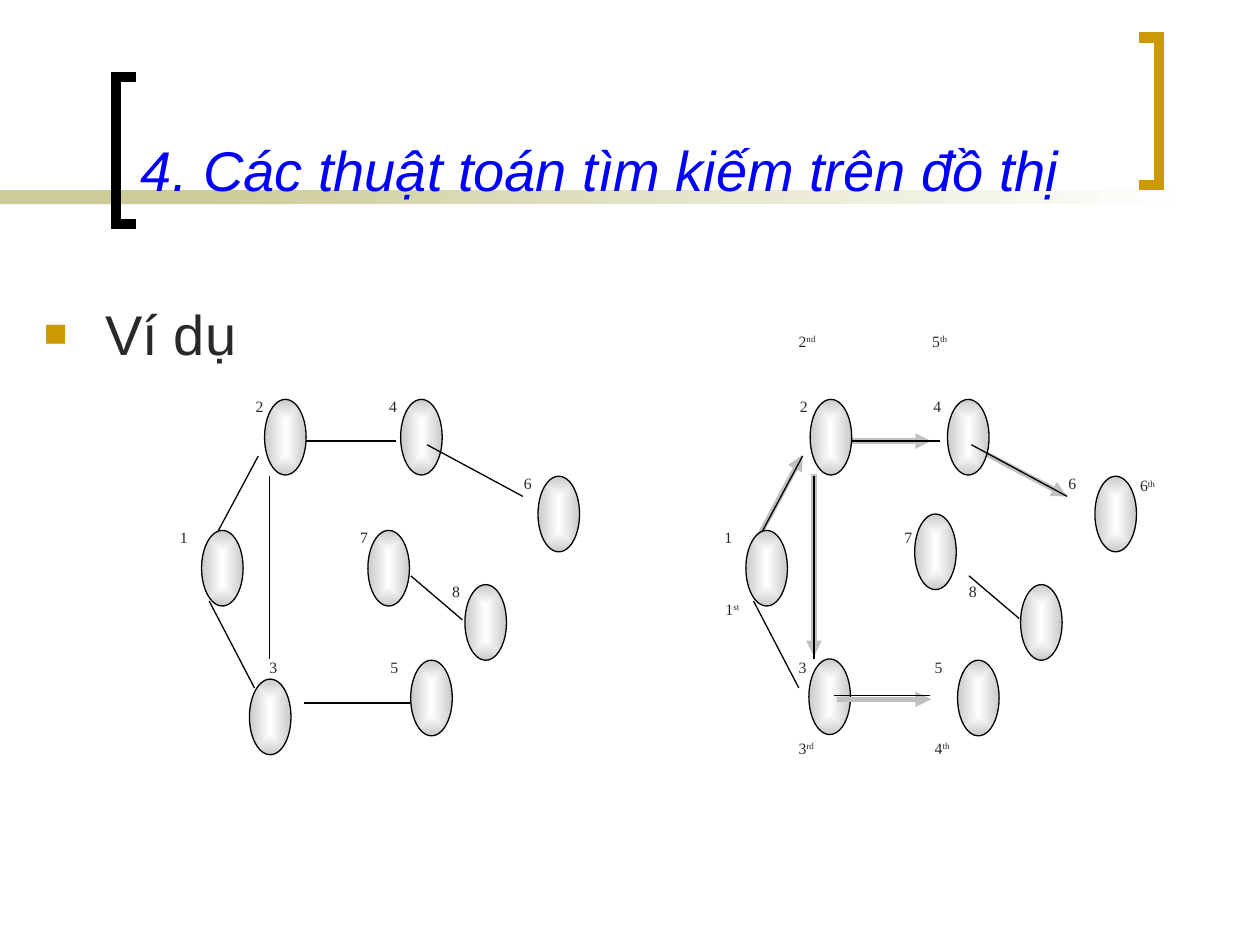
from lxml import etree
from pptx import Presentation
from pptx.dml.color import RGBColor
from pptx.enum.shapes import MSO_CONNECTOR, MSO_SHAPE
from pptx.enum.text import MSO_ANCHOR
from pptx.oxml.ns import qn
from pptx.util import Inches, Pt

LINE = MSO_CONNECTOR.STRAIGHT
RECT, OVAL = MSO_SHAPE.RECTANGLE, MSO_SHAPE.OVAL
BOTTOM, TOP = MSO_ANCHOR.BOTTOM, MSO_ANCHOR.TOP

COLORS = {"black": "000000", "white": "FFFFFF", "band": "CCCC99", "gold": "CC9900",
          "title": "0000FF", "text": "292929", "node": "CACACA", "trace": "C0C0C0"}

LABELS = {"2": (0.6, 0), "4": (1.66, 0), "1": (0, 1.04), "3": (0.71, 2.07),
          "5": (1.67, 2.07), "6": (2.73, 0.61), "7": (1.43, 1.04), "8": (2.16, 1.47)}
NODES = {"2": (0.77, 0.07), "4": (1.85, 0.07), "1": (0.27, 1.11), "3": (0.65, 2.29),
         "5": (1.93, 2.14), "6": (2.94, 0.68), "7": (1.59, 1.11), "8": (2.36, 1.54)}
BACK_EDGES = [(0.97, 0.4, 1.81, 0.4), (0.72, 0.52, 0.35, 1.21), (0.33, 1.67, 0.69, 2.36)]
FRONT_EDGES = [(0.81, 0.68, 0.81, 2.13), (2.06, 0.43, 2.82, 0.84)]
LEFT_EDGES = [(1.93, 1.47, 2.34, 1.82), (1.08, 2.48, 1.92, 2.48)]

VISIT_LABELS = LABELS | {"3": (0.59, 2.07), "8": (1.94, 1.47)}
VISIT_NODES = {"2": (0.78, 0.07), "4": (1.87, 0.07), "1": (0.27, 1.11), "3": (0.77, 2.13),
               "5": (1.95, 2.14), "6": (3.04, 0.68), "7": (1.61, 0.98), "8": (2.45, 1.54)}
VISIT_EDGES = [(2.04, 1.47, 2.44, 1.81), (0.97, 2.42, 1.73, 2.42)]
BACK_TRACES = [(0.81, 0.66, 0.81, 2.11), (2.06, 0.44, 2.82, 0.84),
               (0.99, 0.4, 1.74, 0.4), (0.35, 1.2, 0.72, 0.51)]
FRONT_TRACES = [(0.99, 2.45, 1.74, 2.45)]
ORDER = [("2", "nd", 0.59, -0.52), ("5", "th", 1.65, -0.52), ("3", "rd", 0.59, 2.71),
         ("4", "th", 1.67, 2.71), ("1", "st", 0.01, 1.61), ("6", "th", 3.3, 0.63)]


def rgb(name):
    """Return the named colour."""
    return RGBColor.from_string(COLORS[name])


def add_text(s, box, text, size, color, font="Arial", anchor=TOP):
    """Add a one-paragraph text box and return its paragraph."""
    tf = s.shapes.add_textbox(*map(Inches, box)).text_frame
    tf.word_wrap = True
    tf.vertical_anchor = anchor
    p = tf.paragraphs[0]
    p.add_run().text = text
    p.font.size, p.font.name = Pt(size), font
    p.font.color.rgb = rgb(color)
    return p


def fill_gradient(sp, start, end):
    """Give a shape a two-colour gradient and return its fill element."""
    sp.fill.gradient()
    for stop, color, pos in zip(sp.fill.gradient_stops, (start, end), (0, 1)):
        stop.color.rgb = rgb(color)
        stop.position = pos
    return sp.element.spPr.find(qn("a:gradFill"))


def add_bracket(s, tip, spine, top, height, color):
    """Draw a square bracket that opens from its spine towards its tips."""
    x0, x1, y0, y1 = map(Inches, (tip, spine, top, top + height))
    fb = s.shapes.build_freeform(x0, y0)
    fb.add_line_segments([(x1, y0), (x1, y1), (x0, y1)], close=False)
    sp = fb.convert_to_shape()
    sp.shadow.inherit = False
    sp.fill.background()
    sp.line.color.rgb = rgb(color)
    sp.line.width = Pt(6)
    etree.SubElement(sp.line._get_or_add_ln(), qn("a:miter"), lim="800000")


def add_frame(s, x, y):
    """Draw the band and the two brackets around the title."""
    for left, width in ((0, 2.33), (1.58, 7.92)):
        sp = s.shapes.add_shape(RECT, *map(Inches, (x + left, y + 1.51, width, 0.11)))
        sp.shadow.inherit = False
        sp.line.fill.background()
        if left:
            fill_gradient(sp, "band", "white")
            sp.fill.gradient_angle = 0
        else:
            sp.fill.solid()
            sp.fill.fore_color.rgb = rgb("band")
    add_bracket(s, x + 1.08, x + 0.92, y + 0.61, 1.17, "black")
    add_bracket(s, x + 9.04, x + 9.2, y + 0.3, 1.17, "gold")


def add_bullet(s, box, text):
    """Add body text with a square gold bullet."""
    p = add_text(s, box, text, 32, "text")
    p.space_before = Pt(8)
    pPr = p._p.get_or_add_pPr()
    pPr.set("marL", str(Inches(0.49)))
    pPr.set("indent", str(-Inches(0.49)))
    bullet = [etree.Element(qn("a:buClr")), etree.Element(qn("a:buSzPct"), val="70000"),
              etree.Element(qn("a:buFont"), typeface="Arial"),
              etree.Element(qn("a:buChar"), char="■")]
    etree.SubElement(bullet[0], qn("a:srgbClr"), val=COLORS["gold"])
    for i, el in enumerate(bullet, 1):
        pPr.insert(i, el)


def add_edges(s, x, y, edges, trace=False):
    """Draw graph edges, or thick grey arrows for a search trace."""
    for x1, y1, x2, y2 in edges:
        ends = map(Inches, (x + x1, y + y1, x + x2, y + y2))
        cn = s.shapes.add_connector(LINE, *ends)
        cn.line.color.rgb = rgb("trace" if trace else "black")
        cn.line.width = Pt(3 if trace else 0.75)
        if trace:
            etree.SubElement(cn.line._get_or_add_ln(), qn("a:tailEnd"), type="triangle")
        etree.SubElement(cn._element.spPr, qn("a:effectLst"))


def add_nodes(s, x, y, nodes, labels):
    """Draw the graph nodes with their numbers."""
    for name, (dx, dy) in nodes.items():
        sp = s.shapes.add_shape(OVAL, *map(Inches, (x + dx, y + dy, 0.33, 0.6)))
        sp.shadow.inherit = False
        sp.line.color.rgb = rgb("black")
        sp.line.width = Pt(0.75)
        grad = fill_gradient(sp, "white", "node")
        grad.remove(grad.find(qn("a:lin")))
        path = etree.SubElement(grad, qn("a:path"), path="rect")
        etree.SubElement(path, qn("a:fillToRect"), dict.fromkeys("ltrb", "50000"))
        lx, ly = labels[name]
        add_text(s, (x + lx, y + ly, 0.38, 0.77), name, 9, "text", "Times New Roman")


def add_graph(s, x, y, nodes, labels, edges, back_traces=(), front_traces=()):
    """Draw one graph with edges behind and in front of its nodes."""
    add_edges(s, x, y, back_traces, trace=True)
    add_edges(s, x, y, BACK_EDGES)
    add_nodes(s, x, y, nodes, labels)
    add_edges(s, x, y, front_traces, trace=True)
    add_edges(s, x, y, FRONT_EDGES + edges)


def add_order(s, x, y):
    """Write the visiting order as ordinals beside the nodes."""
    for number, suffix, dx, dy in ORDER:
        p = add_text(s, (x + dx, y + dy, 0.56, 0.69), number, 9, "text", "Times New Roman")
        r = p.add_run()
        r.text = suffix
        r.font._element.set("baseline", "30000")


def main():
    """Build the slide and save it."""
    prs = Presentation()
    prs.slide_width, prs.slide_height = Inches(10), Inches(7.5)
    s = prs.slides.add_slide(prs.slide_layouts[6])
    add_frame(s, 0, 0)
    p = add_text(s, (1.02, 0.11, 7.83, 1.55), "4. Các thuật toán tìm kiếm trên đồ thị",
                 32, "title", anchor=BOTTOM)
    p.font.italic = True
    add_bullet(s, (0.25, 2.33, 9.25, 4.5), "Ví dụ")
    add_graph(s, 1.33, 3.1, NODES, LABELS, LEFT_EDGES)
    add_graph(s, 5.65, 3.1, VISIT_NODES, VISIT_LABELS, VISIT_EDGES, BACK_TRACES, FRONT_TRACES)
    add_order(s, 5.65, 3.1)
    prs.save("out.pptx")


if __name__ == "__main__":
    main()
